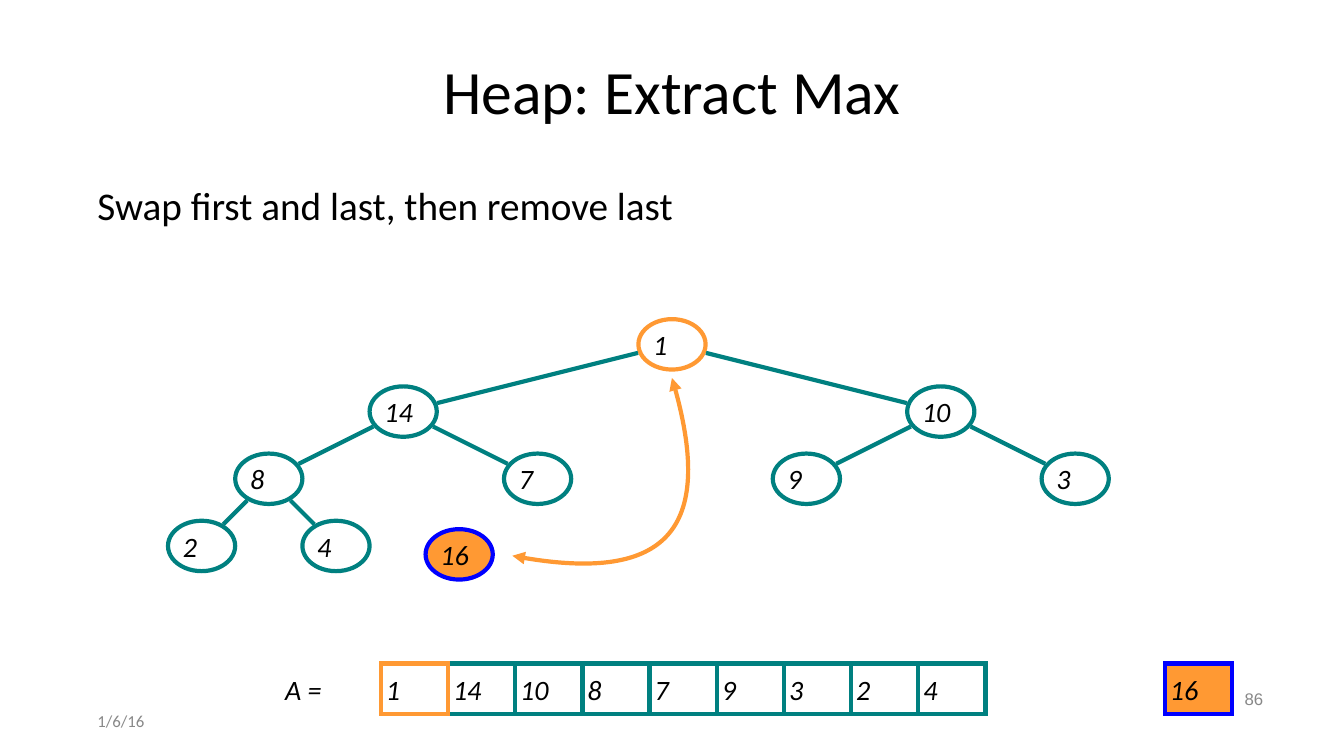
from dataclasses import dataclass
from math import hypot

from lxml.etree import SubElement
from pptx import Presentation
from pptx.dml.color import RGBColor
from pptx.enum.shapes import MSO_CONNECTOR, MSO_SHAPE
from pptx.enum.text import MSO_ANCHOR, MSO_AUTO_SIZE, PP_ALIGN
from pptx.oxml.ns import qn
from pptx.util import Pt


@dataclass(frozen=True)
class Theme:
    ink: RGBColor = RGBColor(0x00, 0x00, 0x00)
    muted: RGBColor = RGBColor(0x88, 0x88, 0x88)
    paper: RGBColor = RGBColor(0xFF, 0xFF, 0xFF)
    teal: RGBColor = RGBColor(0x00, 0x80, 0x80)
    orange: RGBColor = RGBColor(0xFF, 0x99, 0x33)
    blue: RGBColor = RGBColor(0x00, 0x00, 0xFF)
    title: Pt = Pt(44)
    body: Pt = Pt(28)
    value: Pt = Pt(20)
    footer: Pt = Pt(12)
    stroke: Pt = Pt(3)


theme = Theme()
NODE_W, NODE_H = 48, 36


def write(holder, text, size, color=theme.ink, font="Calibri", italic=False,
          anchor=MSO_ANCHOR.MIDDLE, **paragraph_format):
    frame = holder.text_frame
    frame_format = dict(word_wrap=True, auto_size=MSO_AUTO_SIZE.NONE, vertical_anchor=anchor)
    for side in ("left", "top", "right", "bottom"):
        frame_format[f"margin_{side}"] = Pt(3.6)
    paragraph = frame.paragraphs[0]
    run = paragraph.add_run()
    run.text = text
    run.font.color.rgb = color
    formats = (
        (frame, frame_format),
        (paragraph, dict(alignment=PP_ALIGN.LEFT, space_before=Pt(0)) | paragraph_format),
        (run.font, dict(name=font, size=size, italic=italic)),
    )
    for part, values in formats:
        for name, value in values.items():
            setattr(part, name, value)
    return paragraph


def add_value(kind, left, top, value, outline, fill=None):
    holder = slide.shapes.add_shape(kind, Pt(left), Pt(top), Pt(NODE_W), Pt(NODE_H))
    holder.shadow.inherit = False
    if fill is None:
        holder.fill.background()
    else:
        holder.fill.solid()
        holder.fill.fore_color.rgb = fill
    holder.line.color.rgb = outline
    holder.line.width = theme.stroke
    SubElement(holder.line._get_or_add_ln(), qn("a:miter"), lim="800000")
    write(holder, str(value), theme.value, italic=True)


deck = Presentation()
deck.slide_width, deck.slide_height = Pt(960), Pt(540)
slide = deck.slides.add_slide(deck.slide_layouts[1])

# Title and statement
heading, statement = slide.placeholders
for placeholder, top, height in ((heading, 28.8, 77), (statement, 129.6, 356.4)):
    placeholder.left, placeholder.top = Pt(66), Pt(top)
    placeholder.width, placeholder.height = Pt(828), Pt(height)
write(heading, "Heap: Extract Max", theme.title,
      alignment=PP_ALIGN.CENTER, line_spacing=0.9)
swap_step = write(statement, "Swap first and last, then remove last", theme.body,
                  anchor=MSO_ANCHOR.TOP, line_spacing=0.9)
indents = swap_step._p.get_or_add_pPr()
indents.set("marL", str(Pt(18)))
indents.set("indent", str(Pt(-18)))
SubElement(indents, qn("a:buNone"))

# Date, and slide number clear of the removed value
date = slide.shapes.add_textbox(Pt(66), Pt(504), Pt(216), Pt(21))
write(date, "1/6/16", theme.footer, theme.muted)
number = slide.shapes.add_textbox(Pt(882), Pt(489.6), Pt(24), Pt(21))
write(number, "86", theme.footer, theme.muted, "Arial",
      alignment=PP_ALIGN.RIGHT, line_spacing=0.9)

# Heap nodes: the spread halves at each level
heap = [1, 14, 10, 8, 7, 9, 3, 2, 4]
centers = [(480, 246)]
for index in range(1, len(heap)):
    parent_x, parent_y = centers[(index - 1) // 2]
    level = (index + 1).bit_length() - 1
    side = -1 if index % 2 else 1
    centers.append((parent_x + side * 384 / 2 ** level, parent_y + 48))
for index, (value, (x, y)) in enumerate(zip(heap, centers)):
    add_value(MSO_SHAPE.OVAL, x - NODE_W / 2, y - NODE_H / 2, value,
              theme.teal if index else theme.orange, theme.paper)
add_value(MSO_SHAPE.OVAL, 304, 378, 16, theme.blue, theme.orange)

# Edges run between the outer rims of the nodes
rim_x, rim_y = NODE_W / 2 + 1.5, NODE_H / 2 + 1.5
for index in range(1, len(heap)):
    (x1, y1), (x2, y2) = centers[(index - 1) // 2], centers[index]
    dx, dy = x2 - x1, y2 - y1
    reach = 1 / hypot(dx / rim_x, dy / rim_y)
    edge = slide.shapes.add_connector(
        MSO_CONNECTOR.STRAIGHT,
        Pt(x1 + dx * reach), Pt(y1 + dy * reach), Pt(x2 - dx * reach), Pt(y2 - dy * reach))
    edge.line.color.rgb = theme.teal
    edge.line.width = theme.stroke
    SubElement(edge._element.spPr, qn("a:effectLst"))

# Array, with the first cell on top and the removed value apart
array_left, array_top = 272, 474
for index in [*range(1, len(heap)), 0]:
    add_value(MSO_SHAPE.RECTANGLE, array_left + index * NODE_W, array_top, heap[index],
              theme.teal if index else theme.orange)
add_value(MSO_SHAPE.RECTANGLE, 832, array_top, 16, theme.blue, theme.orange)
array_name = slide.shapes.add_textbox(Pt(200), Pt(476.5), Pt(48), Pt(31))
write(array_name, "A =", theme.value, italic=True)

# Swap arrow: the three points after the start become one Bézier segment
builder = slide.shapes.build_freeform(Pt(480), Pt(270))
builder.add_line_segments(
    [(Pt(512), Pt(376)), (Pt(474), Pt(418)), (Pt(366), Pt(397))], close=False)
swap = builder.convert_to_shape()
swap.shadow.inherit = False
swap.fill.background()
swap.line.color.rgb = theme.orange
swap.line.width = theme.stroke
for end in ("headEnd", "tailEnd"):
    SubElement(swap.line._get_or_add_ln(), qn(f"a:{end}"), type="triangle")
outline = swap._element.spPr.find(f".//{qn('a:path')}")
bend = SubElement(outline, qn("a:cubicBezTo"))
for segment in outline.findall(qn("a:lnTo")):
    bend.append(segment[0])
    outline.remove(segment)
swap.width, swap.height = Pt(125.3), Pt(131.8)
outline.set("w", str(swap.width))
outline.set("h", str(swap.height))

deck.save("out.pptx")
